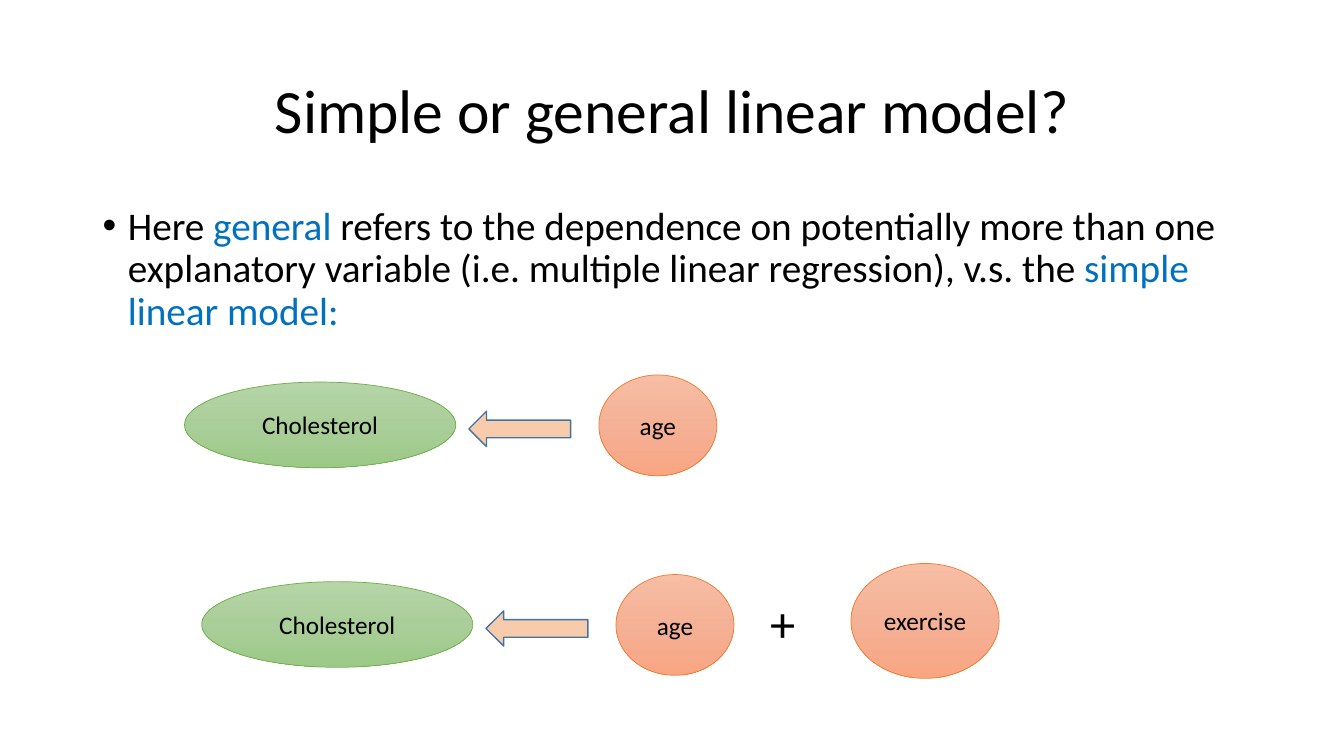
from copy import deepcopy

from lxml import etree
from pptx import Presentation
from pptx.dml.color import RGBColor
from pptx.enum.shapes import MSO_SHAPE as Shape
from pptx.enum.text import MSO_ANCHOR as Anchor, PP_ALIGN as Align
from pptx.oxml.ns import qn
from pptx.util import Inches, Pt

FONT = "Calibri"
BLACK = RGBColor(0x00, 0x00, 0x00)
BLUE = RGBColor(0x00, 0x70, 0xC0)
GREEN_LINE = RGBColor(0x70, 0xAD, 0x47)
GREENS = (RGBColor(0xB5, 0xD5, 0xA7), RGBColor(0xAA, 0xCE, 0x9A), RGBColor(0x9C, 0xC9, 0x87))
ORANGE_LINE = RGBColor(0xED, 0x7D, 0x31)
ORANGES = (RGBColor(0xF7, 0xBD, 0xA5), RGBColor(0xF5, 0xB1, 0x96), RGBColor(0xF8, 0xA5, 0x82))
ARROW_FILL = RGBColor(0xF8, 0xCB, 0xAD)
ARROW_LINE = RGBColor(0x43, 0x73, 0x9E)


def add_run(para, text, size, color=BLACK):
    span = para.add_run()
    span.text = text
    span.font.name = FONT
    span.font.size = Pt(size)
    span.font.color.rgb = color


def add_text(page, place, spans, size, anchor=Anchor.TOP, align=Align.LEFT, spacing=1.0):
    """Add a text box of one paragraph and return that paragraph."""
    box = page.shapes.add_textbox(*map(Inches, place))
    frame = box.text_frame
    frame.word_wrap = True
    frame.vertical_anchor = anchor
    para = frame.paragraphs[0]
    para.alignment = align
    para.line_spacing = spacing
    for text, color in spans:
        add_run(para, text, size, color)
    return para


def add_bullet(para):
    props = para._p.get_or_add_pPr()
    props.set("marL", str(Inches(0.25)))
    props.set("indent", str(Inches(-0.25)))
    etree.SubElement(props, qn("a:buFont")).set("typeface", "Arial")
    etree.SubElement(props, qn("a:buChar")).set("char", "•")


def fill_gradient(shape, colors):
    """Fill a shape from top to bottom with three evenly spaced colours."""
    shape.fill.gradient()
    shape.fill.gradient_angle = 270
    stop_list = shape._element.spPr.find(".//" + qn("a:gsLst"))
    stop_list.insert(1, deepcopy(stop_list[0]))
    for index, (stop, color) in enumerate(zip(shape.fill.gradient_stops, colors)):
        stop.position = index / 2
        stop.color.rgb = color


def add_variable(page, place, name, colors, line_color):
    oval = page.shapes.add_shape(Shape.OVAL, *map(Inches, place))
    oval.shadow.inherit = False
    fill_gradient(oval, colors)
    oval.line.color.rgb = line_color
    oval.line.width = Pt(0.5)
    frame = oval.text_frame
    frame.word_wrap = True
    frame.vertical_anchor = Anchor.MIDDLE
    para = frame.paragraphs[0]
    para.alignment = Align.CENTER
    add_run(para, name, 18)


def add_arrow(page, place):
    arrow = page.shapes.add_shape(Shape.RIGHT_ARROW, *map(Inches, place))
    arrow.rotation = 180
    arrow.shadow.inherit = False
    arrow.fill.solid()
    arrow.fill.fore_color.rgb = ARROW_FILL
    arrow.line.color.rgb = ARROW_LINE
    arrow.line.width = Pt(1)


def add_model(page, left, top):
    """Draw cholesterol explained by age, from the given corner."""
    add_variable(page, (left, top + 0.07, 2.69, 0.85), "Cholesterol", GREENS, GREEN_LINE)
    add_variable(page, (left + 4.11, top, 1.17, 1), "age", ORANGES, ORANGE_LINE)
    add_arrow(page, (left + 2.82, top + 0.36, 1.01, 0.35))


def main():
    deck = Presentation()
    deck.slide_width = Inches(13.33)
    deck.slide_height = Inches(7.5)
    page = deck.slides.add_slide(deck.slide_layouts[6])

    # Title and explanation
    add_text(page, (0.92, 0.4, 11.5, 1.45), [("Simple or general linear model?", BLACK)],
             44, Anchor.MIDDLE, Align.CENTER, 0.9)
    explanation = [
        ("Here ", BLACK),
        ("general ", BLUE),
        ("refers to the dependence on potentially more than one explanatory variable "
         "(i.e. multiple linear regression), v.s. the ", BLACK),
        ("simple linear model:", BLUE),
    ]
    add_bullet(add_text(page, (0.92, 2, 11.32, 4.76), explanation, 28, spacing=0.9))

    # Simple model
    add_model(page, 1.83, 3.72)

    # General model with a second explanatory variable
    add_model(page, 2, 5.7)
    add_variable(page, (8.44, 5.59, 1.47, 1.14), "exercise", ORANGES, ORANGE_LINE)
    add_text(page, (7.54, 5.82, 0.48, 0.71), [("+", BLACK)], 36)

    deck.save("out.pptx")


if __name__ == "__main__":
    main()
